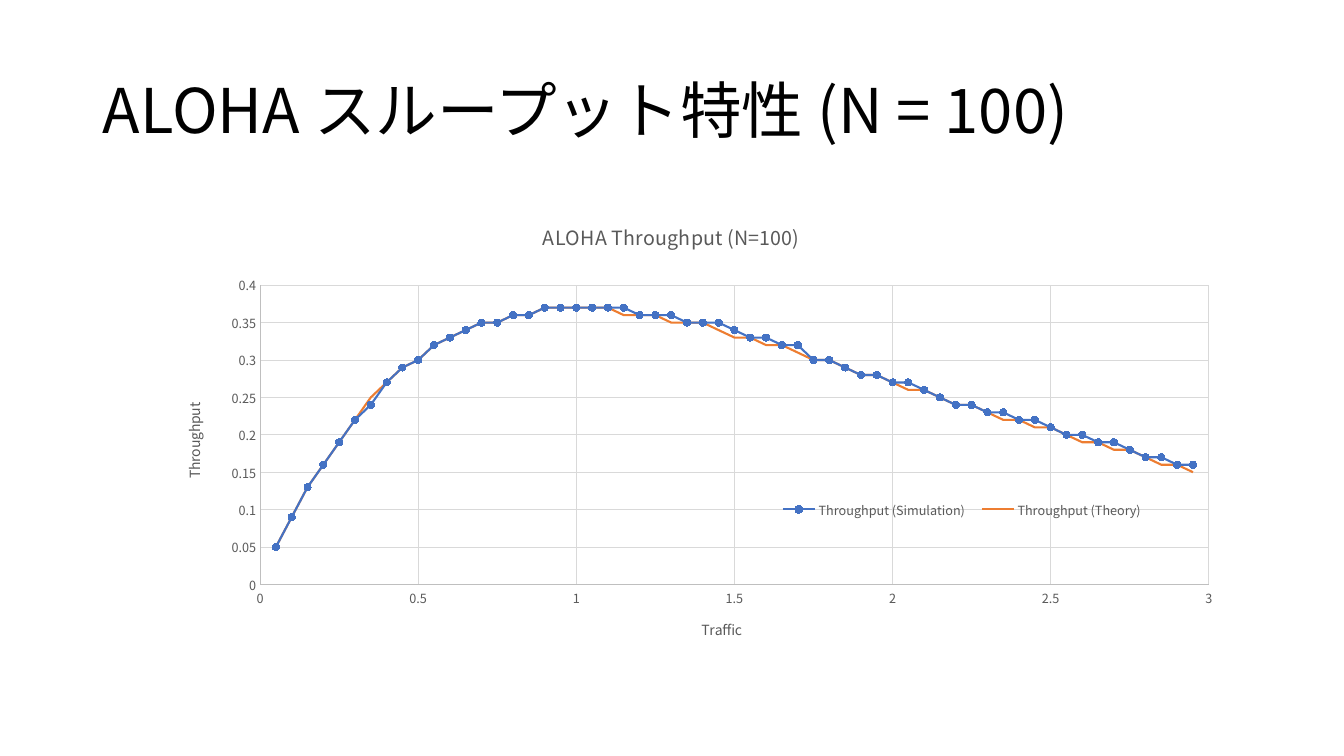
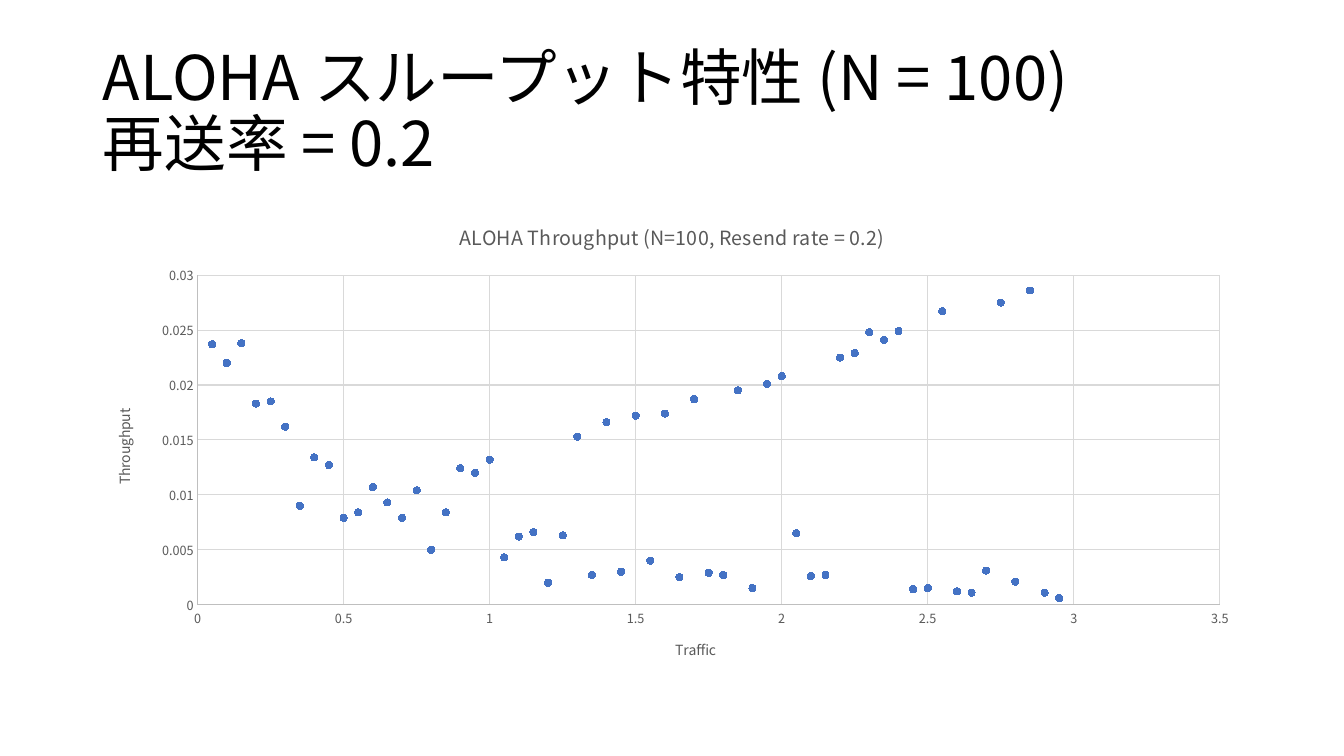
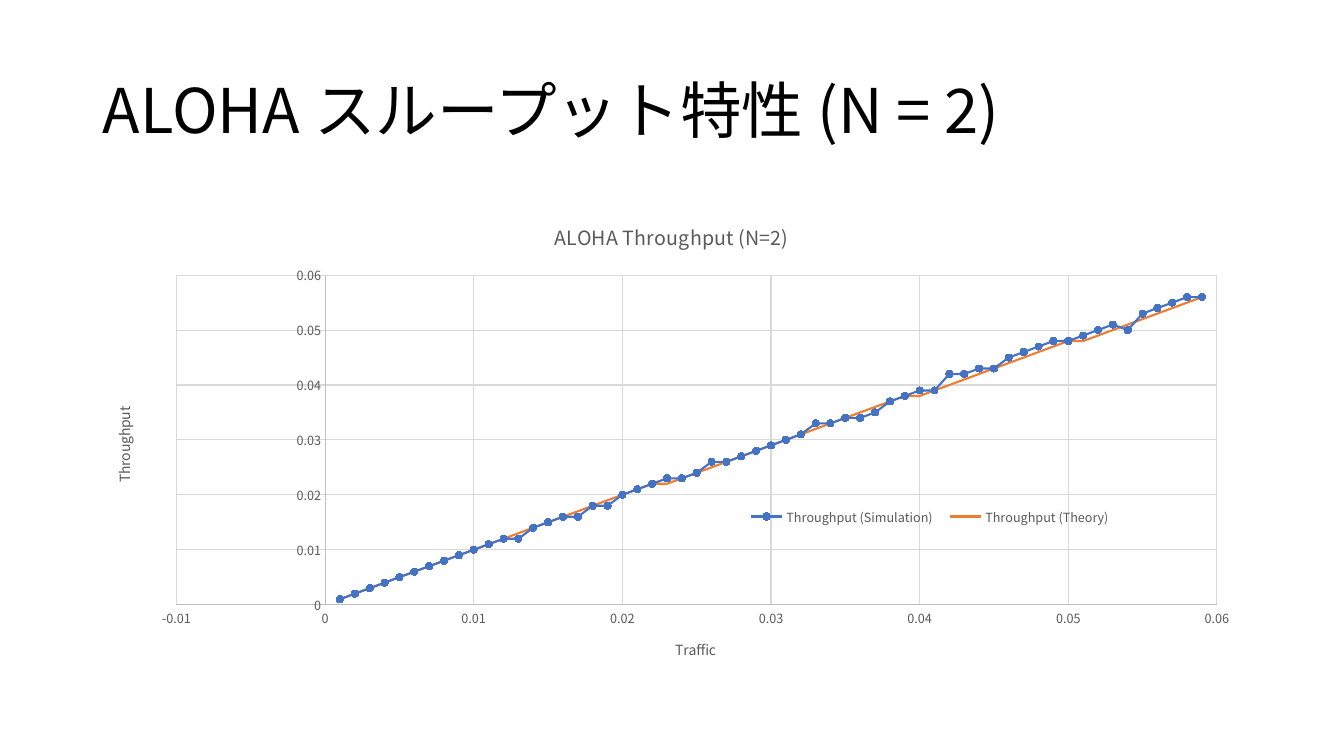
from dataclasses import dataclass
from math import exp
from typing import Optional

from pptx import Presentation
from pptx.chart.data import XyChartData
from pptx.dml.color import RGBColor
from pptx.enum.chart import XL_CHART_TYPE as ChartType
from pptx.enum.chart import XL_LEGEND_POSITION as LegendPosition
from pptx.enum.chart import XL_MARKER_STYLE as MarkerStyle
from pptx.enum.chart import XL_TICK_MARK as TickMark
from pptx.enum.text import MSO_ANCHOR as Anchor
from pptx.enum.text import MSO_AUTO_SIZE as AutoSize
from pptx.enum.text import PP_ALIGN as Align
from pptx.oxml.ns import qn
from pptx.oxml.xmlchemy import OxmlElement
from pptx.util import Inches, Pt


@dataclass(frozen=True)
class Theme:
    font: str = "Noto Sans CJK JP"
    ink: RGBColor = RGBColor(0x00, 0x00, 0x00)
    label: RGBColor = RGBColor(0x59, 0x59, 0x59)
    axis: RGBColor = RGBColor(0xBF, 0xBF, 0xBF)
    grid: RGBColor = RGBColor(0xD9, 0xD9, 0xD9)
    simulation: RGBColor = RGBColor(0x44, 0x72, 0xC4)
    theory: RGBColor = RGBColor(0xED, 0x7D, 0x31)
    heading_size: float = 44
    chart_title_size: float = 14
    axis_title_size: float = 10
    tick_size: float = 9
    hairline: float = 0.75
    curve: float = 1.5
    marker: int = 5


@dataclass(frozen=True)
class Area:
    left: float
    top: float
    width: Optional[float] = None
    height: Optional[float] = None


@dataclass(frozen=True)
class Scale:
    low: Optional[float] = None
    high: Optional[float] = None
    step: Optional[float] = None


@dataclass(frozen=True)
class Curve:
    name: str
    values: list[float]
    color: RGBColor
    marked: bool = True
    joined: bool = True


@dataclass(frozen=True)
class ChartPage:
    heading: str
    chart_title: str
    traffic: list[float]
    curves: list[Curve]
    plot: Area
    title_at: Area
    traffic_at: Area
    throughput_at: Area
    traffic_scale: Scale
    throughput_scale: Scale
    legend: Optional[Area] = None


THEME = Theme()
HEADING = Area(0.92, 0.4, 11.5, 1.45)
CHART = Area(0.92, 2, 11.5, 4.76)

LOAD_MANY = [round(0.05 * step, 2) for step in range(1, 60)]
LOAD_TWO = [round(0.001 * step, 3) for step in range(1, 60)]

SIMULATED_MANY = [
    0.05, 0.09, 0.13, 0.16, 0.19, 0.22, 0.24, 0.27, 0.29, 0.30,
    0.32, 0.33, 0.34, 0.35, 0.35, 0.36, 0.36, 0.37, 0.37, 0.37,
    0.37, 0.37, 0.37, 0.36, 0.36, 0.36, 0.35, 0.35, 0.35, 0.34,
    0.33, 0.33, 0.32, 0.32, 0.30, 0.30, 0.29, 0.28, 0.28, 0.27,
    0.27, 0.26, 0.25, 0.24, 0.24, 0.23, 0.23, 0.22, 0.22, 0.21,
    0.20, 0.20, 0.19, 0.19, 0.18, 0.17, 0.17, 0.16, 0.16,
]
SIMULATED_RESEND = [
    0.0237, 0.0220, 0.0238, 0.0183, 0.0185, 0.0162, 0.0090, 0.0134, 0.0127, 0.0079,
    0.0084, 0.0107, 0.0093, 0.0079, 0.0104, 0.0050, 0.0084, 0.0124, 0.0120, 0.0132,
    0.0043, 0.0062, 0.0066, 0.0020, 0.0063, 0.0153, 0.0027, 0.0166, 0.0030, 0.0172,
    0.0040, 0.0174, 0.0025, 0.0187, 0.0029, 0.0027, 0.0195, 0.0015, 0.0201, 0.0208,
    0.0065, 0.0026, 0.0027, 0.0225, 0.0229, 0.0248, 0.0241, 0.0249, 0.0014, 0.0015,
    0.0267, 0.0012, 0.0011, 0.0031, 0.0275, 0.0021, 0.0286, 0.0011, 0.0006,
]
SIMULATED_TWO = [
    0.001, 0.002, 0.003, 0.004, 0.005, 0.006, 0.007, 0.008, 0.009, 0.010,
    0.011, 0.012, 0.012, 0.014, 0.015, 0.016, 0.016, 0.018, 0.018, 0.020,
    0.021, 0.022, 0.023, 0.023, 0.024, 0.026, 0.026, 0.027, 0.028, 0.029,
    0.030, 0.031, 0.033, 0.033, 0.034, 0.034, 0.035, 0.037, 0.038, 0.039,
    0.039, 0.042, 0.042, 0.043, 0.043, 0.045, 0.046, 0.047, 0.048, 0.048,
    0.049, 0.050, 0.051, 0.050, 0.053, 0.054, 0.055, 0.056, 0.056,
]


def compared_curves(traffic: list[float], simulated: list[float], digits: int) -> list[Curve]:
    theory = [round(load * exp(-load), digits) for load in traffic]
    return [
        Curve("Throughput (Simulation)", simulated, THEME.simulation),
        Curve("Throughput (Theory)", theory, THEME.theory, marked=False),
    ]


PAGES = [
    ChartPage(
        "ALOHA スループット特性 (N = 100)",
        "ALOHA Throughput (N=100)",
        LOAD_MANY,
        compared_curves(LOAD_MANY, SIMULATED_MANY, 2),
        plot=Area(1.66, 0.83, 9.41, 2.97),
        title_at=Area(4.43, 0.15),
        traffic_at=Area(6.01, 4.11),
        throughput_at=Area(0.87, 1.97),
        traffic_scale=Scale(0, 3, 0.5),
        throughput_scale=Scale(0, 0.4, 0.05),
        legend=Area(6.72, 2.92, 3.8, 0.27),
    ),
    ChartPage(
        "ALOHA スループット特性 (N = 100)\v再送率 = 0.2",
        "ALOHA Throughput (N=100, Resend rate = 0.2)",
        LOAD_MANY,
        [Curve("Series 1", SIMULATED_RESEND, THEME.simulation, joined=False)],
        plot=Area(1.04, 0.73, 10.14, 3.27),
        title_at=Area(3.6, 0.15),
        traffic_at=Area(5.75, 4.3),
        throughput_at=Area(0.18, 2.03),
        traffic_scale=Scale(0, 3.5, 0.5),
        throughput_scale=Scale(0, 0.03, 0.005),
    ),
    ChartPage(
        "ALOHA スループット特性 (N = 2)",
        "ALOHA Throughput (N=2)",
        LOAD_TWO,
        compared_curves(LOAD_TWO, SIMULATED_TWO, 3),
        plot=Area(0.83, 0.73, 10.32, 3.27),
        title_at=Area(4.54, 0.15),
        traffic_at=Area(5.75, 4.3),
        throughput_at=Area(0.18, 2.01),
        traffic_scale=Scale(-0.01, 0.06, 0.01),
        throughput_scale=Scale(0, 0.06, 0.01),
        legend=Area(6.4, 2.99, 3.8, 0.27),
    ),
]


def style_font(font, size: float, color: RGBColor) -> None:
    font.name = THEME.font
    font.size = Pt(size)
    font.bold = False
    font.color.rgb = color


def style_line(line, color: RGBColor, width: float) -> None:
    line.color.rgb = color
    line.width = Pt(width)


def place_part(element, area: Area, after: Optional[str] = None, inner: bool = False) -> None:
    for old in element.findall(qn("c:layout")):
        element.remove(old)
    settings = [("layoutTarget", "inner")] if inner else []
    settings += [("xMode", "edge"), ("yMode", "edge")]
    settings += [("x", area.left / CHART.width), ("y", area.top / CHART.height)]
    if area.width is not None and area.height is not None:
        settings += [("w", area.width / CHART.width), ("h", area.height / CHART.height)]
    layout = OxmlElement("c:layout")
    manual = OxmlElement("c:manualLayout")
    layout.append(manual)
    for name, value in settings:
        setting = OxmlElement(f"c:{name}")
        setting.set("val", value if isinstance(value, str) else f"{value:.4f}")
        manual.append(setting)
    if after is None:
        element.insert(0, layout)
    else:
        element.find(qn(after)).addnext(layout)


def add_heading(page, text: str) -> None:
    box = page.shapes.title
    box.left, box.top = Inches(HEADING.left), Inches(HEADING.top)
    box.width, box.height = Inches(HEADING.width), Inches(HEADING.height)
    frame = box.text_frame
    frame.text = text
    frame.word_wrap = True
    frame.auto_size = AutoSize.NONE
    frame.vertical_anchor = Anchor.MIDDLE
    para = frame.paragraphs[0]
    para.alignment = Align.LEFT
    para.line_spacing = 0.9
    for span in para.runs:
        style_font(span.font, THEME.heading_size, THEME.ink)
        east_asian = OxmlElement("a:ea")
        east_asian.set("typeface", THEME.font)
        span.font._element.find(qn("a:latin")).addnext(east_asian)


def write_title(owner, text: str, size: float, area: Area, turned: bool = False) -> None:
    owner.has_title = True
    title = owner.chart_title if hasattr(owner, "chart_title") else owner.axis_title
    title.text_frame.text = text
    style_font(title.text_frame.paragraphs[0].runs[0].font, size, THEME.label)
    if turned:
        body = title._element.find(".//" + qn("a:bodyPr"))
        body.set("rot", "-5400000")
        body.set("vert", "horz")
    place_part(title._element, area, after="c:tx")


def style_axis(axis, text: str, area: Area, scale: Scale, turned: bool = False) -> None:
    axis.minimum_scale = scale.low
    axis.maximum_scale = scale.high
    axis.major_unit = scale.step
    axis.major_tick_mark = TickMark.NONE
    axis.minor_tick_mark = TickMark.NONE
    axis.has_major_gridlines = True
    style_line(axis.major_gridlines.format.line, THEME.grid, THEME.hairline)
    style_line(axis.format.line, THEME.axis, THEME.hairline)
    style_font(axis.tick_labels.font, THEME.tick_size, THEME.label)
    write_title(axis, text, THEME.axis_title_size, area, turned)


def style_curve(series, curve: Curve) -> None:
    series.smooth = False
    if curve.joined:
        style_line(series.format.line, curve.color, THEME.curve)
    else:
        series.format.line.fill.background()
    marker = series.marker
    if not curve.marked:
        marker.style = MarkerStyle.NONE
        return
    marker.style = MarkerStyle.CIRCLE
    marker.size = THEME.marker
    marker.format.fill.solid()
    marker.format.fill.fore_color.rgb = curve.color
    style_line(marker.format.line, curve.color, THEME.hairline)


def add_throughput_chart(page, content: ChartPage) -> None:
    data = XyChartData()
    for curve in content.curves:
        points = data.add_series(curve.name)
        for load, value in zip(content.traffic, curve.values):
            points.add_data_point(load, value)
    joined = any(curve.joined for curve in content.curves)
    chart = page.shapes.add_chart(
        ChartType.XY_SCATTER_LINES if joined else ChartType.XY_SCATTER,
        Inches(CHART.left), Inches(CHART.top),
        Inches(CHART.width), Inches(CHART.height), data,
    ).chart
    style_font(chart.font, THEME.axis_title_size, THEME.ink)
    write_title(chart, content.chart_title, THEME.chart_title_size, content.title_at)
    style_axis(chart.category_axis, "Traffic", content.traffic_at, content.traffic_scale)
    style_axis(
        chart.value_axis, "Throughput", content.throughput_at,
        content.throughput_scale, turned=True,
    )

    plot = chart.plots[0]
    plot.vary_by_categories = False
    for series, curve in zip(plot.series, content.curves):
        style_curve(series, curve)
    place_part(chart._chartSpace.find(".//" + qn("c:plotArea")), content.plot, inner=True)

    chart.has_legend = content.legend is not None
    if content.legend is not None:
        legend = chart.legend
        legend.position = LegendPosition.RIGHT
        legend.include_in_layout = False
        style_font(legend.font, THEME.tick_size, THEME.label)
        place_part(legend._element, content.legend, after="c:legendPos")


def main() -> None:
    deck = Presentation()
    deck.slide_width, deck.slide_height = Inches(13.33), Inches(7.5)
    title_only = deck.slide_layouts[5]
    for content in PAGES:
        page = deck.slides.add_slide(title_only)
        add_heading(page, content.heading)
        add_throughput_chart(page, content)
    deck.save("out.pptx")


if __name__ == "__main__":
    main()
